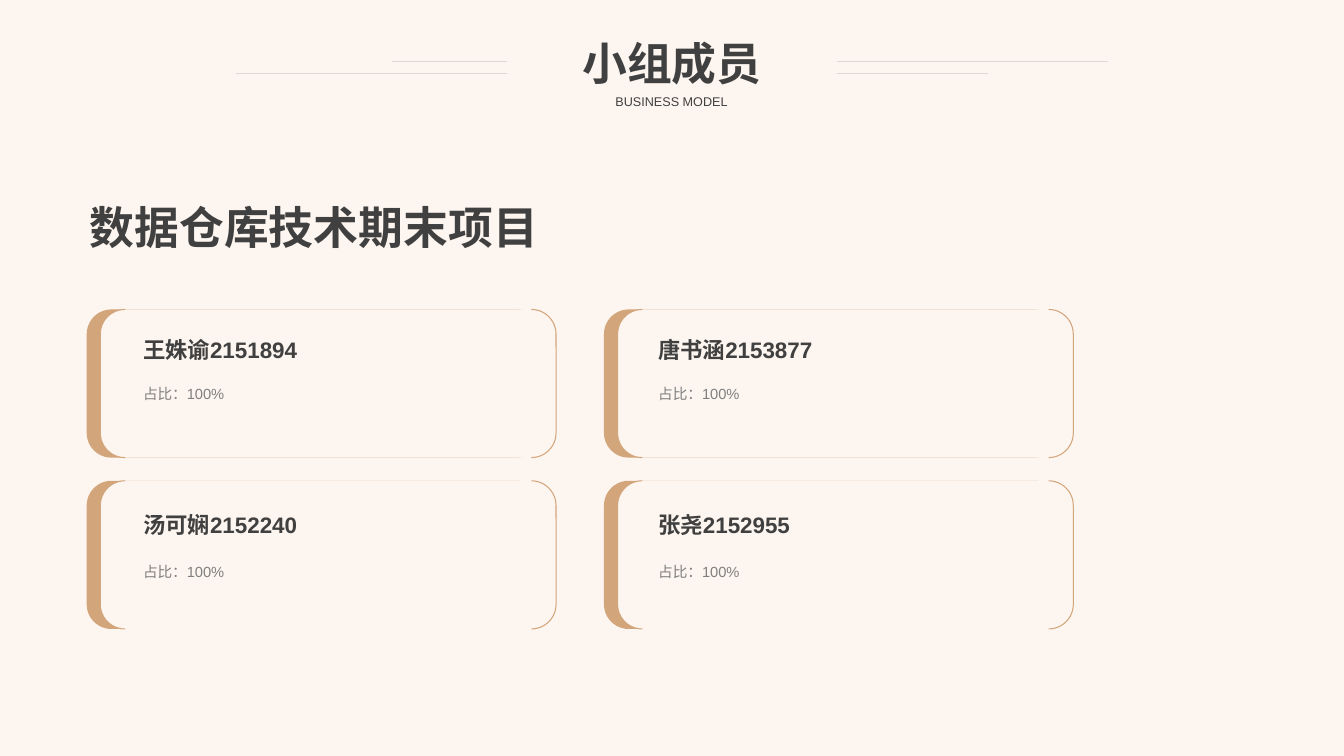
"""Build the team members slide: a title, a project name and four member cards."""
from dataclasses import dataclass

from lxml import etree
from pptx import Presentation
from pptx.dml import color
from pptx.enum import shapes, text
from pptx.oxml import ns
from pptx import util as u

HUES = {"paper": "FDF5EF", "tan": "D2A57B", "dark": "404040", "gray": "808080", "rule": "BFBFBF"}
SIZE = (4.52, 1.47)
SHIFT = 0.135


@dataclass
class Label:
    words: str
    left: float
    top: float
    width: float
    height: float
    size: float
    hue: str = "dark"
    bold: bool = False
    center: bool = False
    space: float = 1.0


@dataclass
class Card:
    name: str
    col: int
    row: int


@dataclass
class Rule:
    start: float
    end: float
    top: float


LABELS = [
    Label("数据仓库技术期末项目", 0.79, 1.93, 5.88, 0.64, 32, bold=True),
    Label("BUSINESS MODEL", 5.51, 0.88, 2.3, 0.25, 9, center=True),
    Label("小组成员", 5.17, 0.31, 2.99, 0.64, 32, bold=True, center=True),
]
CARDS = [
    Card("王姝谕2151894", 0, 0),
    Card("唐书涵2153877", 1, 0),
    Card("汤可娴2152240", 0, 1),
    Card("张尧2152955", 1, 1),
]
RULES = [
    Rule(5.03, 3.89, 0.61),
    Rule(5.03, 2.34, 0.73),
    Rule(10.99, 8.3, 0.61),
    Rule(9.8, 8.3, 0.73),
]
CARD_X, CARD_Y = (0.86, 5.99), (3.07, 4.77)
TEXT_X, NAME_Y, SHARE_Y = (1.32, 6.43), (3.29, 5.02), (3.68, 5.45)


def tint(key: str) -> color.RGBColor:
    return color.RGBColor.from_string(HUES[key])


def add_label(slide, item: Label) -> None:
    box = slide.shapes.add_textbox(
        *map(u.Inches, (item.left, item.top, item.width, item.height)))
    frame = box.text_frame
    frame.word_wrap = True
    frame.auto_size = text.MSO_AUTO_SIZE.SHAPE_TO_FIT_TEXT
    para = frame.paragraphs[0]
    para.line_spacing = item.space
    if item.center:
        para.alignment = text.PP_ALIGN.CENTER
    run = para.add_run()
    run.text = item.words
    font = run.font
    font.name, font.size, font.bold = "Arial", u.Pt(item.size), item.bold
    font.color.rgb = tint(item.hue)


def add_frame(slide, left: float, top: float, fill: str, edge: bool) -> None:
    frame = slide.shapes.add_shape(
        shapes.MSO_SHAPE.DOUBLE_BRACKET, *map(u.Inches, (left, top, *SIZE)))
    frame.shadow.inherit = False
    frame.fill.solid()
    frame.fill.fore_color.rgb = tint(fill)
    if edge:
        frame.line.color.rgb = tint("tan")
        frame.line.width = u.Pt(0.75)
    else:
        frame.line.fill.background()


def add_card(slide, card: Card) -> None:
    left, top = CARD_X[card.col], CARD_Y[card.row]
    add_frame(slide, left, top, "tan", False)
    add_frame(slide, left + SHIFT, top, "paper", True)
    side = TEXT_X[card.col]
    add_label(slide, Label(card.name, side, NAME_Y[card.row], 2.69, 0.37, 16, bold=True))
    add_label(slide, Label("占比：100%", side, SHARE_Y[card.row], 3.02, 0.36, 10.5,
                           "gray", space=1.5))


def add_rule(group, rule: Rule) -> None:
    line = group.shapes.add_connector(
        shapes.MSO_CONNECTOR.STRAIGHT,
        *map(u.Inches, (rule.start, rule.top, rule.end, rule.top)))
    line.line.color.rgb = tint("rule")
    line.line.width = u.Pt(0.5)
    props = line._element.spPr
    shade = props.find(".//" + ns.qn("a:srgbClr"))
    etree.SubElement(shade, ns.qn("a:alpha"), val="50000")
    etree.SubElement(props, ns.qn("a:effectLst"))


def main() -> None:
    deck = Presentation()
    deck.slide_width, deck.slide_height = u.Inches(13.33), u.Inches(7.5)
    slide = deck.slides.add_slide(deck.slide_layouts[6])
    back = slide.background.fill
    back.solid()
    back.fore_color.rgb = tint("paper")
    for card in CARDS:
        add_card(slide, card)
    for item in LABELS:
        add_label(slide, item)
    group = slide.shapes.add_group_shape()
    for rule in RULES:
        add_rule(group, rule)
    deck.save("out.pptx")


if __name__ == "__main__":
    main()
